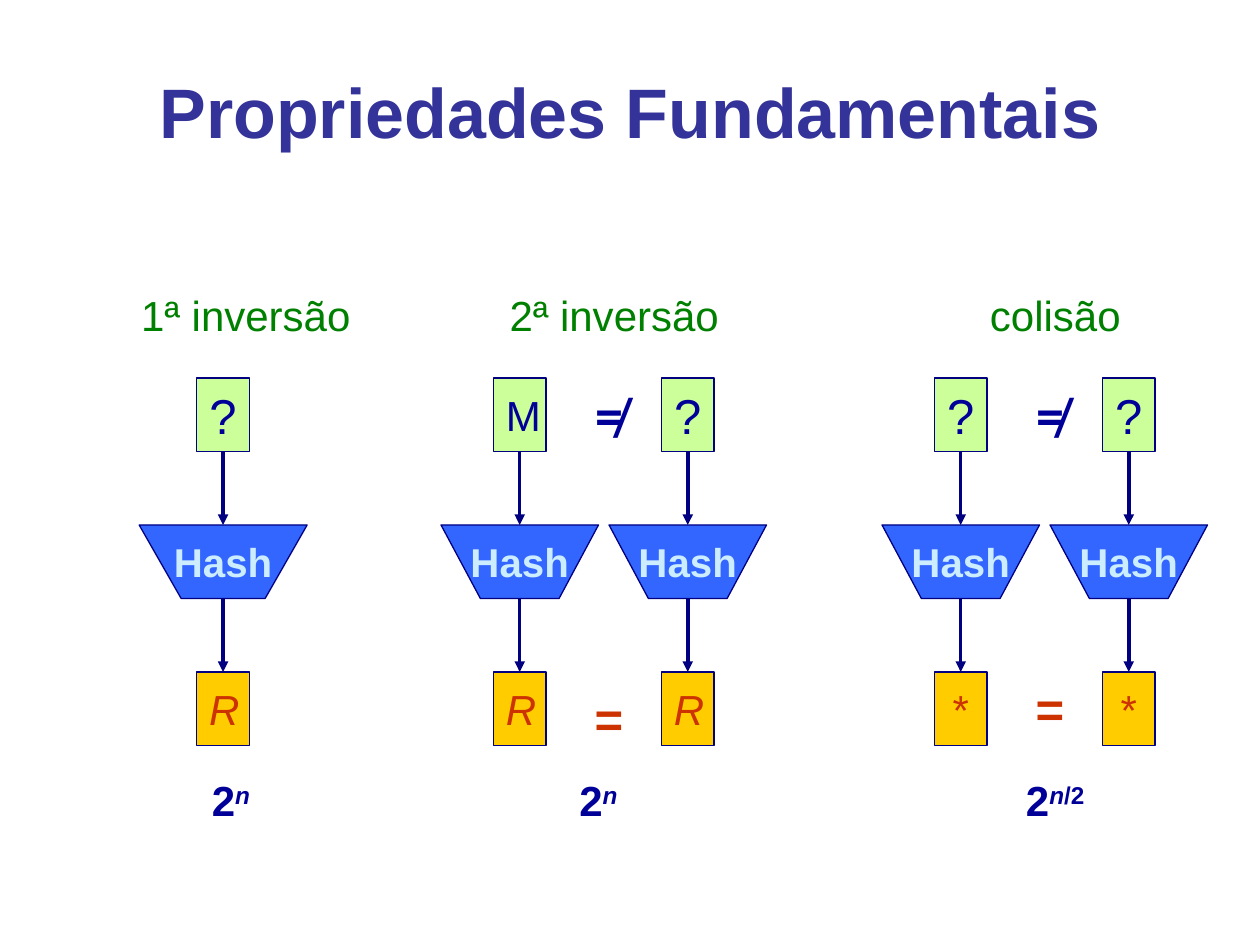
from dataclasses import dataclass

from lxml.etree import SubElement
from pptx import Presentation
from pptx.dml.color import RGBColor as RGB
from pptx.enum.shapes import MSO_CONNECTOR as Connector, MSO_SHAPE as Shape
from pptx.enum.text import MSO_ANCHOR as Anchor, MSO_AUTO_SIZE as AutoSize, PP_ALIGN as Align
from pptx.oxml.ns import qn
from pptx.util import Pt


@dataclass(frozen=True)
class Theme:
    font: str = "Arial"
    symbol_font: str = "Noto Sans"
    title: str = "333399"
    heading: str = "008000"
    ink: str = "000099"
    line: str = "000080"
    message: str = "CCFF99"
    hash: str = "3366FF"
    hash_text: str = "CCECFF"
    digest: str = "FFCC00"
    digest_text: str = "CC3300"
    title_size: int = 40
    large: int = 28
    body: int = 24
    hash_size: int = 23


# Rows shared by all hash columns
ROW_H, BOX_W = 42, 30
MESSAGE_Y, HASH_Y, DIGEST_Y = 216, 300, 384
HEADING_Y, COST_Y = 162, 439.2


class Deck:
    def __init__(self, theme):
        self.t = theme
        self.prs = Presentation()
        self.prs.slide_width, self.prs.slide_height = Pt(720), Pt(540)
        self.s = self.prs.slides.add_slide(self.prs.slide_layouts[5])

    def set_text(self, sp, text, size, color, bold=False, italic=False, font=None):
        tf = sp.text_frame
        tf.word_wrap = True
        tf.margin_left = tf.margin_right = Pt(7.2)
        tf.margin_top = tf.margin_bottom = Pt(3.6)
        p = tf.paragraphs[0]
        p.text = text
        p.alignment = Align.CENTER
        f = p.font
        f.name, f.size = font or self.t.font, Pt(size)
        f.bold, f.italic = bold, italic
        f.color.rgb = RGB.from_string(color)
        return p

    def paint(self, sp, fill):
        sp.shadow.inherit = False
        sp.fill.solid()
        sp.fill.fore_color.rgb = RGB.from_string(fill)
        sp.line.color.rgb = RGB.from_string(self.t.line)
        sp.line.width = Pt(0.75)
        sp.text_frame.vertical_anchor = Anchor.MIDDLE

    def title(self, text):
        sp = self.s.shapes.title
        sp.left, sp.top, sp.width, sp.height = Pt(54), Pt(18), Pt(612), Pt(90)
        self.set_text(sp, text, self.t.title_size, self.t.title, bold=True)
        sp.text_frame.vertical_anchor = Anchor.MIDDLE
        sp.text_frame.auto_size = AutoSize.NONE

    def label(self, center, top, width, height, text, size, color, **style):
        sp = self.s.shapes.add_textbox(Pt(center - width / 2), Pt(top), Pt(width), Pt(height))
        return self.set_text(sp, text, size, color, **style)

    def box(self, center, top, fill, text, size, color, **style):
        sp = self.s.shapes.add_shape(
            Shape.RECTANGLE, Pt(center - BOX_W / 2), Pt(top), Pt(BOX_W), Pt(ROW_H))
        self.paint(sp, fill)
        self.set_text(sp, text, size, color, **style)

    def funnel(self, center, width):
        top, bottom = Pt(HASH_Y), Pt(HASH_Y + ROW_H)
        fb = self.s.shapes.build_freeform(Pt(center - width / 2), top)
        fb.add_line_segments([(Pt(center - width / 4), bottom),
                              (Pt(center + width / 4), bottom),
                              (Pt(center + width / 2), top)], close=True)
        sp = fb.convert_to_shape()
        self.paint(sp, self.t.hash)
        self.set_text(sp, "Hash", self.t.hash_size, self.t.hash_text, bold=True)

    def arrow(self, x, top, bottom):
        c = self.s.shapes.add_connector(Connector.STRAIGHT, Pt(x), Pt(top), Pt(x), Pt(bottom))
        c.line.color.rgb = RGB.from_string(self.t.line)
        c.line.width = Pt(2)
        pr = c._element.spPr
        SubElement(pr.find(qn("a:ln")), qn("a:tailEnd"), type="triangle")
        SubElement(pr, qn("a:effectLst"))

    def hash_column(self, center, message, digest, width=90):
        t = self.t
        self.funnel(center, width)
        self.box(center, MESSAGE_Y, t.message, message,
                 t.large if message == "?" else t.body, t.ink)
        self.arrow(center, MESSAGE_Y + ROW_H, HASH_Y)
        self.box(center, DIGEST_Y, t.digest, digest, t.body, t.digest_text,
                 italic=digest == "R")
        self.arrow(center, HASH_Y + ROW_H, DIGEST_Y)

    def cost(self, center, width, *exponent):
        p = self.label(center, COST_Y, width, 36, "2", self.t.body, self.t.ink, bold=True)
        for text in exponent:
            r = p.add_run()
            r.text = text
            r.font.italic = text == "n"
            r._r.get_or_add_rPr().set("baseline", "30000")

    def relation(self, center, equal_top):
        t = self.t
        self.label(center, equal_top, 48, 41, "=", t.large, t.digest_text, bold=True)
        self.label(center, 217.5, 48, 41, "≠", t.large, t.ink, bold=True, font=t.symbol_font)


def main():
    t = Theme()
    deck = Deck(t)
    deck.title("Propriedades Fundamentais")

    # Hash columns: center, message, digest
    deck.hash_column(127.5, "?", "R", width=96)
    for column in [(297, "M", "R"), (393, "?", "R"), (549, "?", "*"), (645, "?", "*")]:
        deck.hash_column(*column)

    # Headings above each property
    for center, text in [(140.5, "1ª inversão"), (351, "2ª inversão"), (603, "colisão")]:
        deck.label(center, HEADING_Y, 150, 36, text, t.body, t.heading)

    # Effort below each property
    deck.cost(132, 48, "n")
    deck.cost(342, 48, "n")
    deck.cost(603, 54, "n", "/2")

    # Relations between paired messages and digests
    deck.relation(348, 390)
    deck.relation(600, 384)

    deck.prs.save("out.pptx")


if __name__ == "__main__":
    main()
